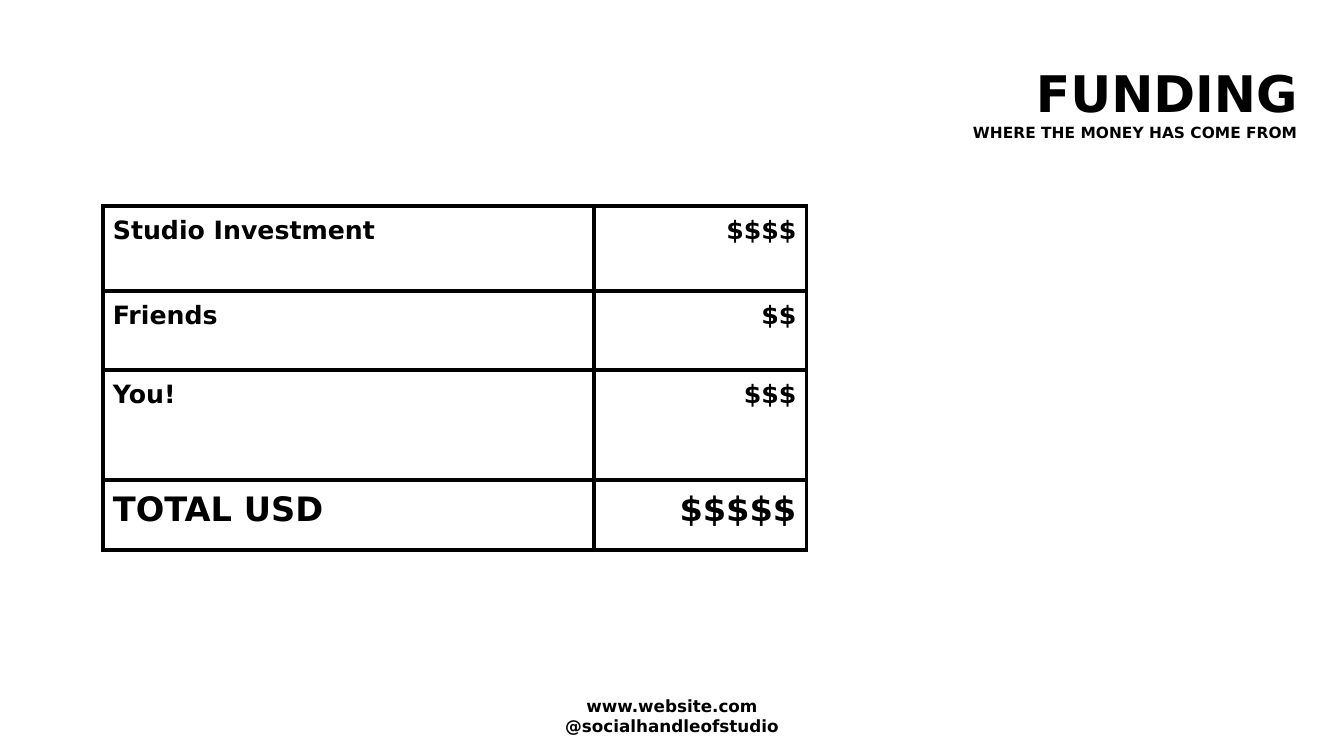
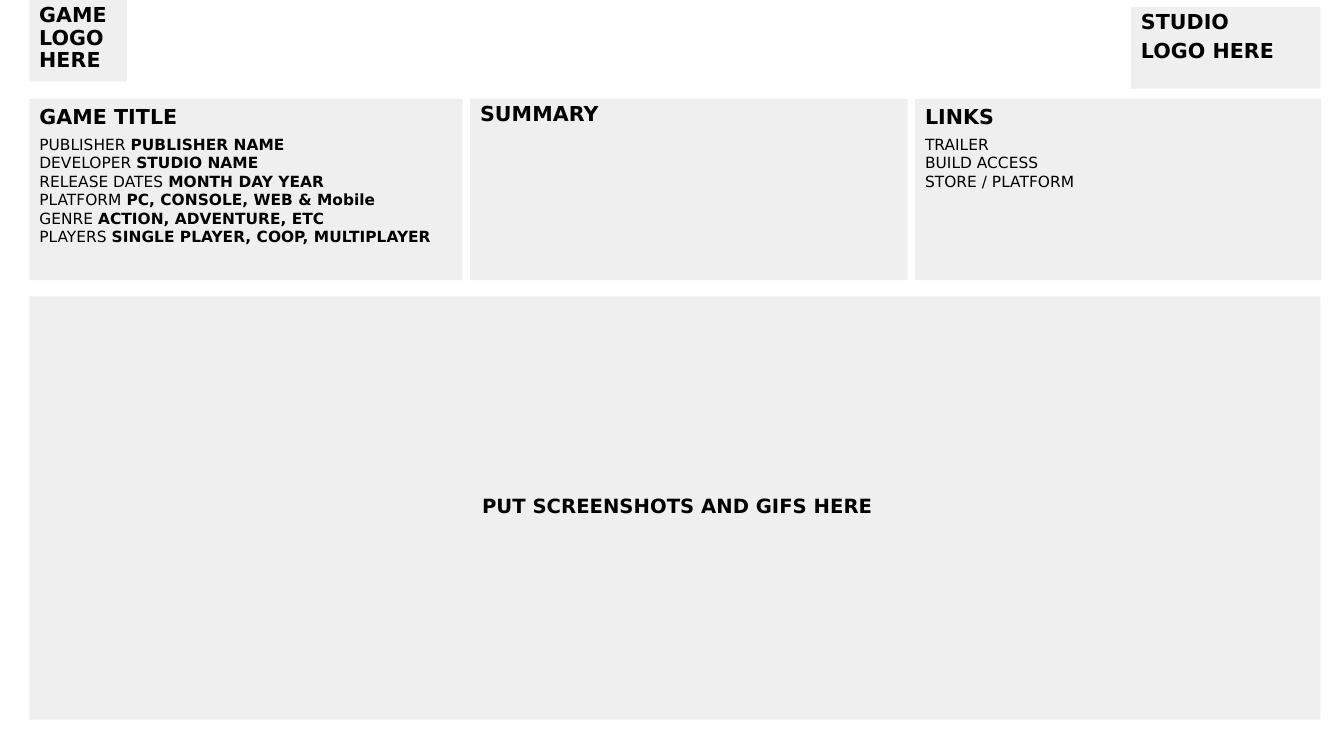
from dataclasses import dataclass
from typing import Sequence

from lxml.etree import SubElement
from pptx import Presentation
from pptx.dml.color import RGBColor
from pptx.enum.shapes import MSO_SHAPE
from pptx.enum.text import MSO_ANCHOR, MSO_AUTO_SIZE, PP_ALIGN
from pptx.oxml.ns import qn
from pptx.util import Inches, Pt

BLACK = RGBColor(0x00, 0x00, 0x00)
WHITE = RGBColor(0xFF, 0xFF, 0xFF)
GREY = RGBColor(0xEF, 0xEF, 0xEF)
FACE = "DejaVu Sans"
WIDE, HIGH = Inches(13.33), Inches(7.5)
HEAD, TEXT = 14.7, 11
LOOSE = 4.5
EVEN = (0.1, 0.1, 0.1, 0.1)
TIGHT = (0.1, 0.05, 0.05, 0.1)


@dataclass(frozen=True)
class Box:
    left: float
    top: float
    width: float
    height: float


@dataclass(frozen=True)
class Line:
    text: str
    size: float
    bold: bool = True
    tail: str = ""
    before: float = 0
    pitch: float = 1.0
    align: PP_ALIGN = PP_ALIGN.LEFT


@dataclass(frozen=True)
class Panel:
    box: Box
    lines: Sequence[Line]
    anchor: MSO_ANCHOR = MSO_ANCHOR.TOP


def across(share: float) -> int:
    return round(WIDE * share / 100)


def down(share: float) -> int:
    return round(HIGH * share / 100)


def spot(box: Box) -> tuple[int, int, int, int]:
    return across(box.left), down(box.top), across(box.width), down(box.height)


def place(shape, box: Box) -> None:
    shape.left, shape.top, shape.width, shape.height = spot(box)


def write(frame, lines: Sequence[Line]) -> None:
    for index, line in enumerate(lines):
        para = frame.paragraphs[0] if index == 0 else frame.add_paragraph()
        props = para._p.get_or_add_pPr()
        props.set("marL", "0")
        props.set("indent", "0")
        SubElement(props, qn("a:buNone"))
        para.alignment = line.align
        para.line_spacing = line.pitch
        para.space_before = Pt(line.before)
        para.space_after = Pt(0)
        font = para.font
        font.name, font.size = FACE, Pt(line.size)
        font.color.rgb = BLACK
        run = para.add_run()
        run.text = line.text
        if line.tail:
            run.font.bold = False
            tail = para.add_run()
            tail.text = line.tail
            tail.font.bold = True
        else:
            font.bold = line.bold


def fit(
    shape,
    lines: Sequence[Line],
    inset: tuple[float, float, float, float],
    anchor: MSO_ANCHOR = MSO_ANCHOR.TOP,
) -> None:
    frame = shape.text_frame
    frame.word_wrap = True
    frame.auto_size = MSO_AUTO_SIZE.NONE
    frame.vertical_anchor = anchor
    frame.margin_left, frame.margin_top, frame.margin_right, frame.margin_bottom = map(
        Inches, inset
    )
    write(frame, lines)


def paint(shape, panel: Panel) -> None:
    shape.fill.solid()
    shape.fill.fore_color.rgb = GREY
    shape.line.fill.background()
    shape.shadow.inherit = False
    fit(shape, panel.lines, TIGHT, panel.anchor)


def draw(slide, panel: Panel) -> None:
    shape = slide.shapes.add_shape(MSO_SHAPE.RECTANGLE, *spot(panel.box))
    shape._element.remove(shape._element.find(qn("p:style")))
    paint(shape, panel)


def frame_cell(cell) -> None:
    props = cell._tc.get_or_add_tcPr()
    for side in ("L", "R", "T", "B"):
        edge = SubElement(props, qn(f"a:ln{side}"), w=str(Pt(3)))
        fill = SubElement(edge, qn("a:solidFill"))
        SubElement(fill, qn("a:srgbClr"), val=str(BLACK))
    cell.fill.solid()
    cell.fill.fore_color.rgb = WHITE
    cell.margin_left = cell.margin_right = Inches(0.1)
    cell.margin_top = cell.margin_bottom = Inches(0.1)
    cell.vertical_anchor = MSO_ANCHOR.TOP


def funding(deck) -> None:
    slide = deck.slides.add_slide(deck.slide_layouts[5])
    title = slide.shapes.title
    place(title, Box(41.7, 6.93, 55.6, 12.4))
    fit(
        title,
        [
            Line("FUNDING", 36, align=PP_ALIGN.RIGHT),
            Line("WHERE THE MONEY HAS COME FROM", TEXT, align=PP_ALIGN.RIGHT),
        ],
        EVEN,
    )
    rows = [
        ("Studio Investment", "$$$$", 18, 11.33),
        ("Friends", "$$", 18, 10.4),
        ("You!", "$$$", 18, 14.53),
        ("TOTAL USD", "$$$$$", 24, 9.33),
    ]
    cols = (36.53, 15.83)
    area = Box(7.65, 27.2, sum(cols), sum(row[3] for row in rows))
    table = slide.shapes.add_table(len(rows), len(cols), *spot(area)).table
    table.first_row = table.horz_banding = False
    for index, share in enumerate(cols):
        table.columns[index].width = across(share)
    for index, (name, worth, size, share) in enumerate(rows):
        table.rows[index].height = down(share)
        pair = (Line(name, size), Line(worth, size, align=PP_ALIGN.RIGHT))
        for col, line in enumerate(pair):
            cell = table.cell(index, col)
            frame_cell(cell)
            write(cell.text_frame, [line])
    foot = slide.shapes.add_textbox(*spot(Box(37.7, 90.67, 24.6, 7.73)))
    names = ("www.website.com", "@socialhandleofstudio")
    fit(foot, [Line(name, 12, align=PP_ALIGN.CENTER) for name in names], EVEN)


def summary(deck) -> None:
    slide = deck.slides.add_slide(deck.slide_layouts[1])
    left, top, gap, height = 2.18, 13.07, 0.55, 24
    facts = [
        ("PUBLISHER ", "PUBLISHER NAME"),
        ("DEVELOPER ", "STUDIO NAME"),
        ("RELEASE DATES ", "MONTH DAY YEAR"),
        ("PLATFORM ", "PC, CONSOLE, WEB & Mobile"),
        ("GENRE ", "ACTION, ADVENTURE, ETC"),
        ("PLAYERS ", "SINGLE PLAYER, COOP, MULTIPLAYER"),
    ]
    links = ("TRAILER", "BUILD ACCESS", "STORE / PLATFORM")
    game = [Line("GAME TITLE", HEAD)] + [
        Line(name, TEXT, tail=fact, before=0 if index else LOOSE)
        for index, (name, fact) in enumerate(facts)
    ]
    brief = [Line("SUMMARY", HEAD, before=LOOSE, pitch=0.9)]
    web = [Line("LINKS", HEAD)] + [
        Line(link, TEXT, bold=False, before=0 if index else LOOSE)
        for index, link in enumerate(links)
    ]
    trio = []
    edge = left
    for width, lines in ((32.25, game), (32.55, brief), (30.22, web)):
        trio.append(Panel(Box(edge, top, width, height), lines))
        edge += width + gap
    first, middle, last = trio
    for shape, panel in ((slide.shapes.title, first), (slide.placeholders[1], last)):
        place(shape, panel.box)
        paint(shape, panel)
    shots = Line("PUT SCREENSHOTS AND GIFS HERE", 14, align=PP_ALIGN.CENTER)
    mark = [Line("GAME LOGO HERE", HEAD, before=LOOSE, pitch=0.9)]
    crest = [
        Line(text, HEAD, before=LOOSE, pitch=0.9) for text in ("STUDIO", "LOGO HERE")
    ]
    for panel in (
        Panel(Box(left, 39.2, 96.07, 56), [shots], MSO_ANCHOR.MIDDLE),
        middle,
        Panel(Box(left, 0, 7.27, 10.8), mark),
        Panel(Box(84.15, 0.93, 14.1, 10.8), crest),
    ):
        draw(slide, panel)


def main() -> None:
    deck = Presentation()
    deck.slide_width, deck.slide_height = WIDE, HIGH
    funding(deck)
    summary(deck)
    deck.save("out.pptx")


if __name__ == "__main__":
    main()
